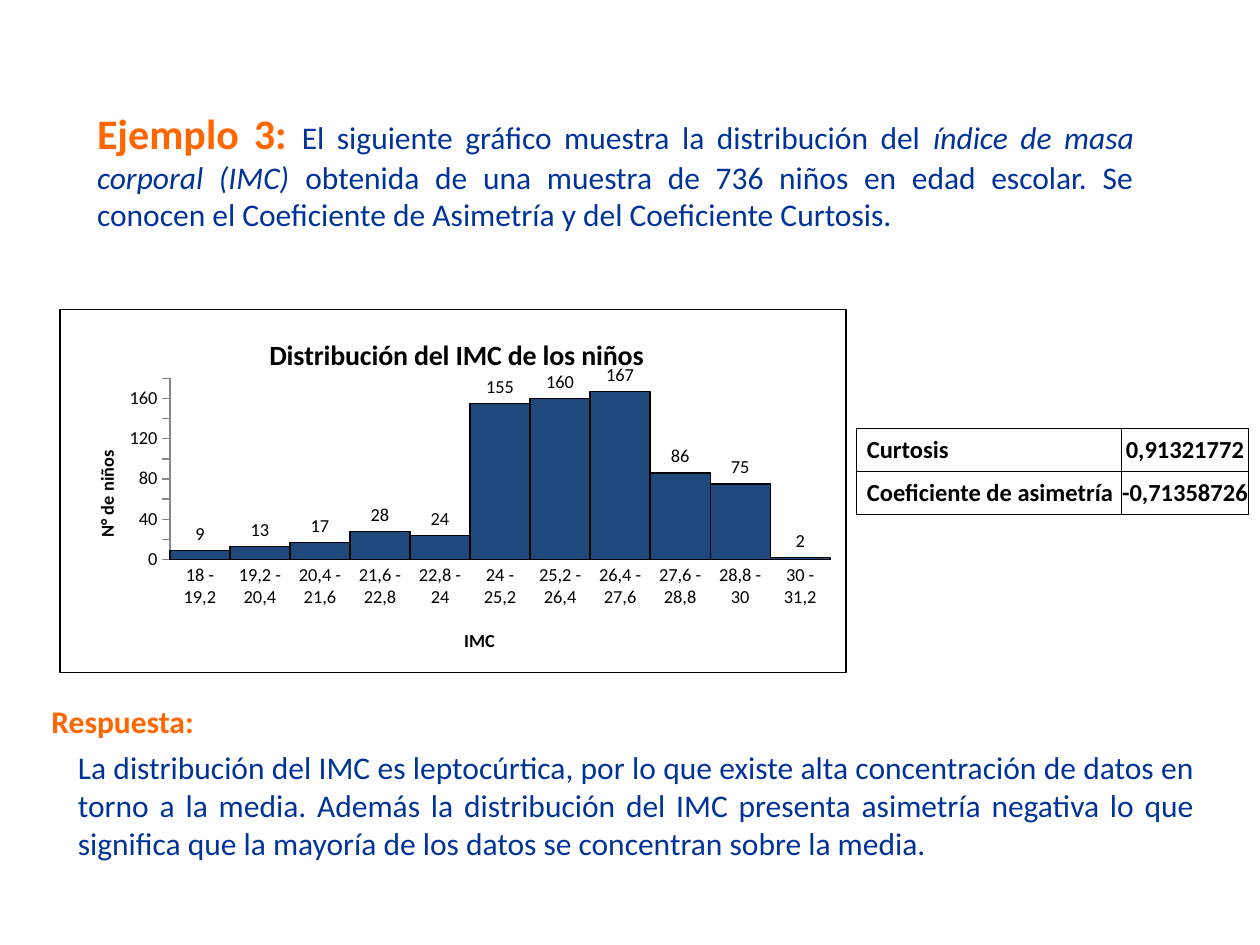
from dataclasses import dataclass

from lxml import etree
from pptx import Presentation
from pptx.chart.data import CategoryChartData
from pptx.dml.color import RGBColor
from pptx.enum.chart import XL_CHART_TYPE, XL_LABEL_POSITION, XL_TICK_MARK
from pptx.enum.text import MSO_ANCHOR, MSO_AUTO_SIZE, PP_ALIGN
from pptx.oxml import parse_xml
from pptx.oxml.ns import nsdecls, qn
from pptx.util import Inches, Pt

COLUMNS = XL_CHART_TYPE.COLUMN_CLUSTERED
ABOVE_BAR = XL_LABEL_POSITION.OUTSIDE_END
NO_TICK, TICK_OUT = XL_TICK_MARK.NONE, XL_TICK_MARK.OUTSIDE
TOP, MIDDLE = MSO_ANCHOR.TOP, MSO_ANCHOR.MIDDLE
LEFT, CENTER, JUSTIFY = PP_ALIGN.LEFT, PP_ALIGN.CENTER, PP_ALIGN.JUSTIFY


@dataclass(frozen=True)
class Theme:
    font: str = "Calibri"
    accent: str = "FF6600"
    text: str = "003399"
    ink: str = "000000"
    bar: str = "1F497D"
    axis: str = "868686"
    heading: float = 24
    body: float = 18
    chart_title: float = 16
    cell: float = 14
    chart_text: float = 10.5
    thin: float = 0.5
    outline: float = 0.75


THEME = Theme()

STATEMENT = [
    ("Ejemplo 3: ", dict(size=THEME.heading, color=THEME.accent, bold=True)),
    ("El siguiente gráfico muestra la distribución del ", {}),
    ("índice de masa corporal (IMC)", dict(italic=True)),
    (" obtenida de una muestra de 736 niños en edad escolar. Se conocen el "
     "Coeficiente de Asimetría y del Coeficiente Curtosis.", {}),
]
ANSWER_HEADING = [("Respuesta:", dict(color=THEME.accent, bold=True))]
ANSWER = [
    ("La distribución del IMC es leptocúrtica, por lo que existe alta "
     "concentración de datos en torno a la media. Además la distribución del "
     "IMC presenta asimetría negativa lo que significa que la mayoría de los "
     "datos se concentran sobre la media.", {}),
]
STATISTICS = [("Curtosis", "0,91321772"),
              ("Coeficiente de asimetría", "-0,71358726")]
CHILDREN_BY_IMC = {
    "18 - 19,2": 9, "19,2 - 20,4": 13, "20,4 - 21,6": 17, "21,6 - 22,8": 28,
    "22,8 - 24": 24, "24 - 25,2": 155, "25,2 - 26,4": 160, "26,4 - 27,6": 167,
    "27,6 - 28,8": 86, "28,8 - 30": 75, "30 - 31,2": 2,
}


def set_font(font, size=THEME.body, color=THEME.text, bold=False, italic=False):
    values = dict(name=THEME.font, size=Pt(size), bold=bold, italic=italic)
    for name, value in values.items():
        setattr(font, name, value)
    font.color.rgb = RGBColor.from_string(color)


def set_line(line, color, width):
    line.color.rgb = RGBColor.from_string(color)
    line.width = Pt(width)


def write_spans(para, spans, alignment):
    para.alignment = alignment
    for text, style in spans:
        span = para.add_run()
        span.text = text
        set_font(span.font, **style)


def fill_text(shape, box, spans):
    """Place a text shape and give it one justified paragraph."""
    for name, value in zip(("left", "top", "width", "height"), box):
        setattr(shape, name, value)
    frame = shape.text_frame
    values = dict(word_wrap=True, auto_size=MSO_AUTO_SIZE.NONE,
                  vertical_anchor=TOP)
    for name, value in values.items():
        setattr(frame, name, value)
    write_spans(frame.paragraphs[0], spans, JUSTIFY)


def add_text(page, box, spans):
    fill_text(page.shapes.add_textbox(*box), box, spans)


def outline_cell(cell):
    properties = cell._tc.get_or_add_tcPr()
    for position, side in enumerate(("lnL", "lnR", "lnT", "lnB")):
        properties.insert(position, parse_xml(
            f'<a:{side} {nsdecls("a")} w="{Pt(THEME.thin)}"><a:solidFill>'
            f'<a:srgbClr val="{THEME.ink}"/></a:solidFill></a:{side}>'))


def add_statistics(page, box):
    left, top, width, height = box
    table = page.shapes.add_table(len(STATISTICS), 2, *box).table
    table.first_row = table.horz_banding = False
    table.columns[0].width = Inches(2.1)
    table.columns[1].width = width - Inches(2.1)
    for row, texts in enumerate(STATISTICS):
        for column, (text, alignment) in enumerate(zip(texts, (LEFT, CENTER))):
            cell = table.cell(row, column)
            for side in ("left", "right", "top", "bottom"):
                setattr(cell, f"margin_{side}", 0)
            if alignment == LEFT:
                cell.margin_left = Inches(0.08)
            cell.vertical_anchor = MIDDLE
            cell.fill.background()
            outline_cell(cell)
            style = dict(size=THEME.cell, color=THEME.ink, bold=True)
            write_spans(cell.text_frame.paragraphs[0], [(text, style)], alignment)


def manual_layout(**values):
    """Layout element in fractions of the chart area."""
    layout = etree.Element(qn("c:layout"))
    manual = etree.SubElement(layout, qn("c:manualLayout"))
    if "w" in values:
        etree.SubElement(manual, qn("c:layoutTarget"), val="inner")
    for mode in ("xMode", "yMode"):
        etree.SubElement(manual, qn(f"c:{mode}"), val="edge")
    for name, value in values.items():
        etree.SubElement(manual, qn(f"c:{name}"), val=str(value))
    return layout


def replace_layout(parent, layout, position):
    for old in parent.findall(qn("c:layout")):
        parent.remove(old)
    parent.insert(position, layout)


def set_chart_title(owner, title, text, size, x, y):
    owner.has_title = True
    style = dict(size=size, color=THEME.ink, bold=True)
    write_spans(title.text_frame.paragraphs[0], [(text, style)], CENTER)
    replace_layout(title._element, manual_layout(x=x, y=y), 1)


def outline_chart(chart):
    chart._chartSpace.find(qn("c:txPr")).addprevious(parse_xml(
        f'<c:spPr {nsdecls("c", "a")}><a:noFill/><a:ln w="{Pt(THEME.outline)}">'
        f'<a:solidFill><a:srgbClr val="{THEME.ink}"/></a:solidFill></a:ln></c:spPr>'))


def add_histogram(page, box):
    data = CategoryChartData()
    data.categories = list(CHILDREN_BY_IMC)
    data.add_series("N° de niños", list(CHILDREN_BY_IMC.values()))
    chart = page.shapes.add_chart(COLUMNS, *box, data).chart
    chart.has_legend = False
    set_font(chart.font, THEME.chart_text, THEME.ink)
    outline_chart(chart)

    groups, counts = chart.category_axis, chart.value_axis
    set_chart_title(chart, chart.chart_title, "Distribución del IMC de los niños",
                    THEME.chart_title, 0.26, 0.06)
    set_chart_title(groups, groups.axis_title, "IMC", THEME.chart_text, 0.51, 0.87)
    set_chart_title(counts, counts.axis_title, "N° de niños", THEME.chart_text,
                    0.04, 0.38)
    for axis, tick in ((groups, NO_TICK), (counts, TICK_OUT)):
        axis.major_tick_mark, axis.minor_tick_mark = tick, NO_TICK
        axis.has_major_gridlines = False
        set_line(axis.format.line, THEME.axis, THEME.outline)
        set_font(axis.tick_labels.font, THEME.chart_text, THEME.ink)
    scale = dict(minimum_scale=0, maximum_scale=180, major_unit=20)
    for name, value in scale.items():
        setattr(counts, name, value)

    plot = chart.plots[0]
    plot.gap_width, plot.vary_by_categories = 0, False
    plot.has_data_labels = True
    labels = plot.data_labels
    labels.show_value, labels.position = True, ABOVE_BAR
    set_font(labels.font, THEME.chart_text, THEME.ink)
    bars = plot.series[0].format
    bars.fill.solid()
    bars.fill.fore_color.rgb = RGBColor.from_string(THEME.bar)
    set_line(bars.line, THEME.ink, THEME.outline)
    replace_layout(chart._chartSpace.chart.plotArea,
                   manual_layout(x=0.14, y=0.19, w=0.84, h=0.5), 0)


def inches(*lengths):
    return [Inches(length) for length in lengths]


def main():
    deck = Presentation()
    deck.slide_width, deck.slide_height = inches(10, 7.5)
    page = deck.slides.add_slide(deck.slide_layouts.get_by_name("Title Only"))
    fill_text(page.shapes.title, inches(0.67, 0.8, 8.43, 1.11), STATEMENT)
    add_statistics(page, inches(6.8, 3.4, 3.11, 0.68))
    add_text(page, inches(0.52, 5.89, 9.06, 1.01), ANSWER)
    add_text(page, inches(0.31, 5.52, 1.88, 0.5), ANSWER_HEADING)
    add_histogram(page, inches(0.47, 2.45, 6.25, 2.89))
    deck.save("out.pptx")


if __name__ == "__main__":
    main()
